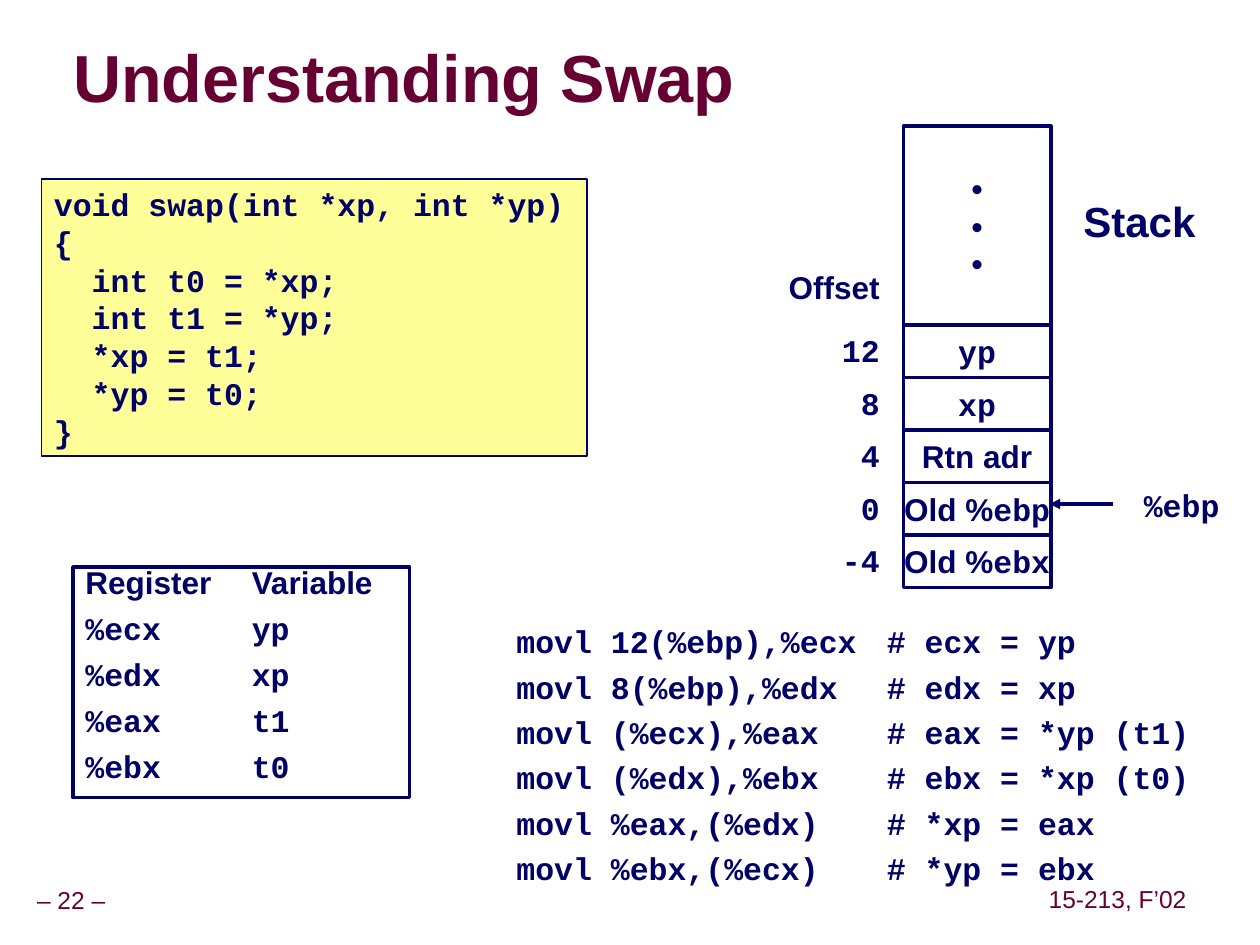
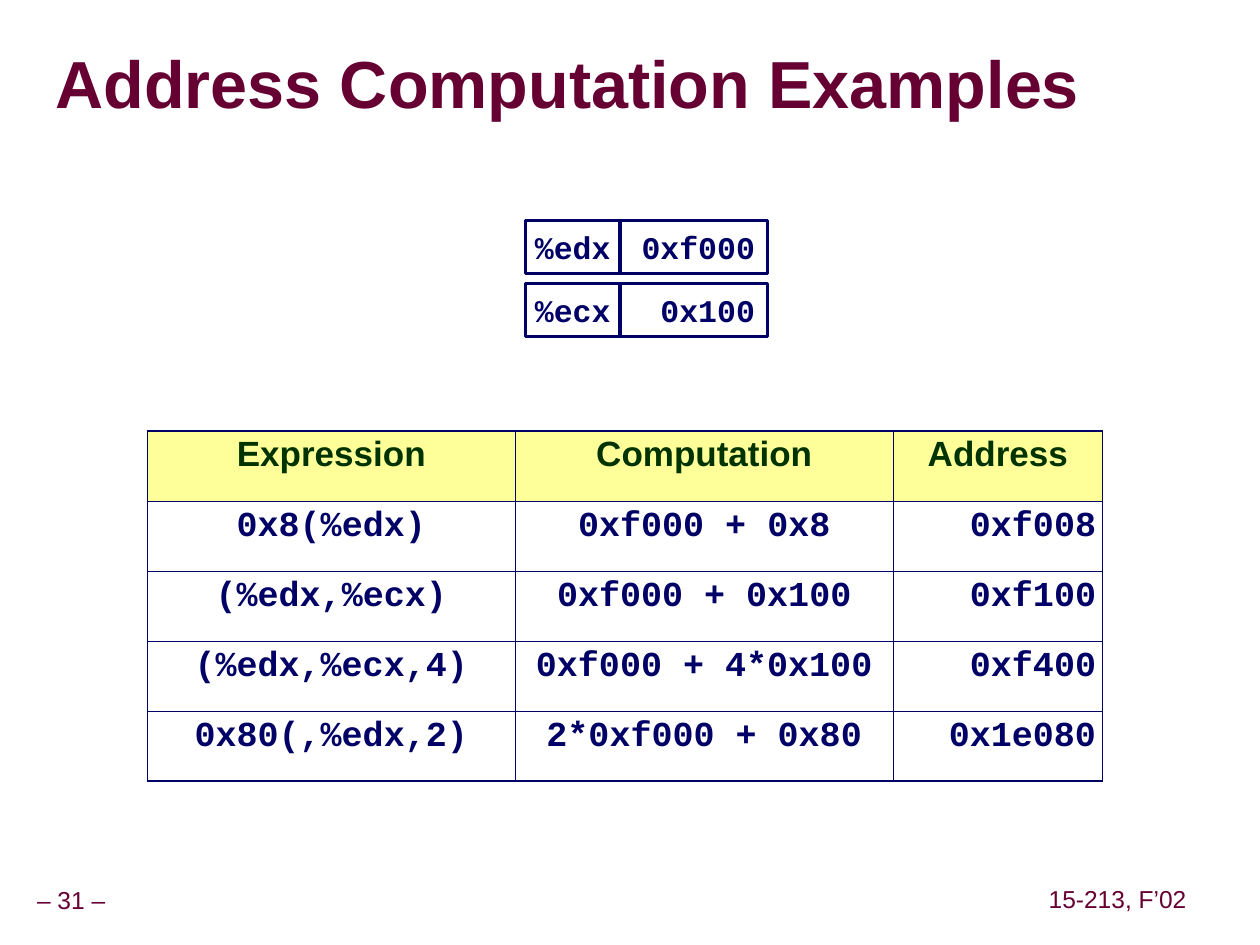
from lxml.etree import SubElement
from pptx import Presentation
from pptx.dml.color import RGBColor
from pptx.enum.shapes import MSO_CONNECTOR, MSO_SHAPE
from pptx.enum.text import MSO_ANCHOR, MSO_AUTO_SIZE, PP_ALIGN
from pptx.oxml.ns import qn
from pptx.util import Inches, Pt

COLORS = {"maroon": "660033", "navy": "000066", "green": "003300",
          "yellow": "FFFF99", "white": "FFFFFF", "shadow": "969696"}
SANS, MONO = "Arial", "Courier New"
LEFT, CENTER, RIGHT = PP_ALIGN.LEFT, PP_ALIGN.CENTER, PP_ALIGN.RIGHT
TOP, MIDDLE = MSO_ANCHOR.TOP, MSO_ANCHOR.MIDDLE


def write(tf, lines, size=18, font=MONO, color="navy", bold=True,
          align=LEFT, spacing=None, before=0, tab=None):
    """Each line is a string or a list of (text, font) runs."""
    for i, line in enumerate(lines):
        p = tf.paragraphs[0] if i == 0 else tf.add_paragraph()
        if tab:
            tabs = SubElement(p._p.get_or_add_pPr(), qn("a:tabLst"))
            SubElement(tabs, qn("a:tab"), pos=str(Inches(tab)), algn="l")
        form = {"alignment": align, "line_spacing": spacing,
                "space_before": Pt(before if i else 0)}
        for key, value in form.items():
            setattr(p, key, value)
        for text, name in [(line, font)] if isinstance(line, str) else line:
            r = p.add_run()
            r.text = text
            form = {"name": name, "size": Pt(size), "bold": bold}
            for key, value in form.items():
                setattr(r.font, key, value)
            r.font.color.rgb = RGBColor.from_string(COLORS[color])


def box(s, x, y, w, h, lines, fill=None, line=0, anchor=TOP, wrap=False,
        inset=0.1, **text):
    """A bordered rectangle if it has a line width, else a text box."""
    place = [Inches(v) for v in (x, y, w, h)]
    if line:
        sp = s.shapes.add_shape(MSO_SHAPE.RECTANGLE, *place)
        sp.shadow.inherit = False
        sp.line.color.rgb = RGBColor.from_string(COLORS["navy"])
        sp.line.width = Pt(line)
    else:
        sp = s.shapes.add_textbox(*place)
    if fill:
        sp.fill.solid()
        sp.fill.fore_color.rgb = RGBColor.from_string(COLORS[fill])
    else:
        sp.fill.background()
    tf = sp.text_frame
    form = {"word_wrap": wrap, "vertical_anchor": anchor,
            "margin_left": Inches(inset), "margin_right": Inches(inset),
            "margin_top": Inches(0.05), "margin_bottom": Inches(0.05)}
    for key, value in form.items():
        setattr(tf, key, value)
    write(tf, lines, **text)


prs = Presentation()
prs.slide_width, prs.slide_height = Inches(10), Inches(7.5)

# Titles and footers of both slides
pages = [("Understanding Swap", 22, (0.58, 0.33, 6.97, 0.63)),
         ("Address Computation Examples", 31, (0.44, 0.27, 9.53, 0.85))]
for title, number, place in pages:
    s = prs.slides.add_slide(prs.slide_layouts[5])
    sp = s.shapes.title
    sp.left, sp.top, sp.width, sp.height = [Inches(v) for v in place]
    tf = sp.text_frame
    form = {"margin_left": 0, "margin_right": 0, "margin_top": 0,
            "margin_bottom": 0, "vertical_anchor": MIDDLE,
            "word_wrap": True, "auto_size": MSO_AUTO_SIZE.NONE}
    for key, value in form.items():
        setattr(tf, key, value)
    write(tf, [title], size=38, font=SANS, color="maroon", spacing=0.87)
    rPr = tf.paragraphs[0].runs[0].font._element
    effects = rPr.makeelement(qn("a:effectLst"), {})
    rPr.find(qn("a:solidFill")).addnext(effects)
    shadow = SubElement(effects, qn("a:outerShdw"), dist=str(Pt(4)),
                        dir="2700000", algn="tl")
    SubElement(shadow, qn("a:srgbClr"), val=COLORS["shadow"])

    footers = [(-0.09, 7, 1.31, f"– {number} –"),
               (8.27, 6.99, 1.2, "15-213, F’02")]
    for x, y, w, text in footers:
        box(s, x, y, w, 0.31, [text], anchor=MIDDLE, inset=0.05, size=14,
            font=SANS, color="maroon", bold=False, align=CENTER, spacing=0.9)

swap, address = prs.slides

# Swap: C source
code = ["void swap(int *xp, int *yp)", "{", "  int t0 = *xp;",
        "  int t1 = *yp;", "  *xp = t1;", "  *yp = t0;", "}"]
box(swap, 0.33, 1.42, 4.33, 2.2, code, fill="yellow", line=1, wrap=True)

# Swap: assembly with aligned comments
assembly = ["movl 12(%ebp),%ecx\t# ecx = yp",
            "movl 8(%ebp),%edx\t# edx = xp",
            "movl (%ecx),%eax\t# eax = *yp (t1)",
            "movl (%edx),%ebx\t# ebx = *xp (t0)",
            "movl %eax,(%edx)\t# *xp = eax",
            "movl %ebx,(%ecx)\t# *yp = ebx"]
box(swap, 4, 4.83, 6, 2.26, assembly, wrap=True, spacing=1.2, tab=2.94)

# Swap: register assignment
registers = [[("Register\tVariable", SANS)], "%ecx\typ", "%edx\txp",
             "%eax\tt1", "%ebx\tt0"]
box(swap, 0.58, 4.5, 2.67, 1.83, registers, line=2, wrap=True,
    spacing=0.7, before=11.2, tab=1.32)

# Swap: stack with offsets
stack_x, stack_w, first_y, row_h = 7.17, 1.17, 2.58, 5 / 12
box(swap, 8.5, 1.5, 1.09, 0.5, ["Stack"], size=24, font=SANS)
box(swap, 6.08, 2.08, 1, 0.4, ["Offset"], font=SANS, align=RIGHT, wrap=True)
box(swap, stack_x, 1, stack_w, 1.58, ["•"] * 3, fill="white", line=2,
    anchor=MIDDLE, font=SANS, align=CENTER)
stack = [("12", "yp"), ("8", "xp"), ("4", [("Rtn adr", SANS)]),
         ("0", [("Old %", SANS), ("ebp", MONO)]),
         ("-4", [("Old %", SANS), ("ebx", MONO)])]
for i, (offset, entry) in enumerate(stack):
    y = first_y + i * row_h
    box(swap, stack_x, y, stack_w, row_h, [entry], fill="white", line=2,
        anchor=MIDDLE, align=CENTER)
    box(swap, 6.08, y, 1, 0.4, [offset], align=RIGHT, wrap=True)

# Swap: frame pointer arrow
box(swap, 8.98, 3.81, 0.8, 0.4, ["%ebp"])
arrow = swap.shapes.add_connector(MSO_CONNECTOR.STRAIGHT, Inches(8.83),
                                  Inches(4), Inches(8.33), Inches(4))
arrow.line.color.rgb = RGBColor.from_string(COLORS["navy"])
arrow.line.width = Pt(2)
spPr = arrow._element.spPr
SubElement(spPr.find(qn("a:ln")), qn("a:tailEnd"), type="triangle")
SubElement(spPr, qn("a:effectLst"))

# Address: register values
for i, (register, value) in enumerate([("%edx", "0xf000"), ("%ecx", "0x100")]):
    for x, w, text, align in [(4.17, 0.75, register, CENTER),
                              (4.92, 1.17, value, RIGHT)]:
        box(address, x, 1.75 + i * 0.5, w, 0.42, [text], fill="white",
            line=2, anchor=MIDDLE, align=align)

# Address: table of expressions
rows = [("Expression", "Computation", "Address"),
        ("0x8(%edx)", "0xf000 + 0x8", "0xf008"),
        ("(%edx,%ecx)", "0xf000 + 0x100", "0xf100"),
        ("(%edx,%ecx,4)", "0xf000 + 4*0x100", "0xf400"),
        ("0x80(,%edx,2)", "2*0xf000 + 0x80", "0x1e080")]
table = address.shapes.add_table(len(rows), 3, Inches(1.17), Inches(3.42),
                                 Inches(7.58), Inches(2.78)).table
table.first_row = table.horz_banding = False
for column, w in zip(table.columns, (2.92, 3, 1.66)):
    column.width = Inches(w)
for i, row in enumerate(rows):
    for j, text in enumerate(row):
        cell = table.cell(i, j)
        for side in ("left", "right", "top", "bottom"):
            setattr(cell, f"margin_{side}", Inches(0.05))
        write(cell.text_frame, [text], size=20, spacing=0.95,
              font=MONO if i else SANS, color="navy" if i else "green",
              align=RIGHT if i and j == 2 else CENTER)
        # Borders are heavier on the outer edge
        tcPr = cell._tc.get_or_add_tcPr()
        outer = {"lnL": j == 0, "lnR": j == 2,
                 "lnT": i == 0, "lnB": i == len(rows) - 1}
        for tag, edge in outer.items():
            ln = SubElement(tcPr, qn(f"a:{tag}"),
                            w=str(Pt(1.08 if edge else 0.45)))
            fill = SubElement(ln, qn("a:solidFill"))
            SubElement(fill, qn("a:srgbClr"), val=COLORS["navy"])
        if i:
            cell.fill.background()
        else:
            cell.fill.solid()
            cell.fill.fore_color.rgb = RGBColor.from_string(COLORS["yellow"])

prs.save("out.pptx")
